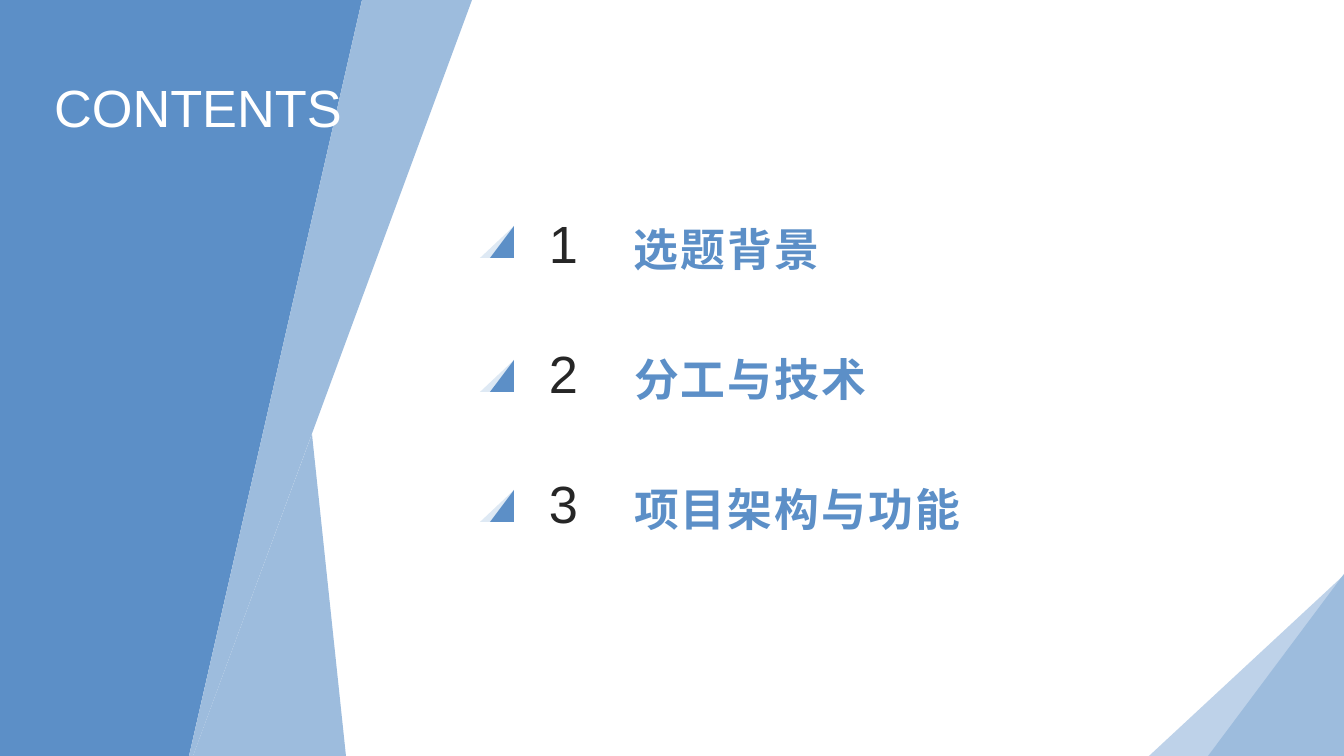
from pptx import Presentation
from pptx import util as u
from pptx.dml.color import RGBColor
from pptx.enum import shapes, text

PX = 914400 / 100.8
FONT = "Arial"
BLUE, MID, LIGHT, PALE = "5C8FC7", "9DBCDD", "BED2E9", "DEE9F4"
WHITE, DARK = "FFFFFF", "262626"

TITLE = "CONTENTS"
PANELS = [
    (LIGHT, [(1344, 575), (1306, 756), (1149, 756)]),
    (BLUE, [(0, 0), (362, 0), (189, 756), (0, 756)]),
    (MID, [(472, 0), (193, 756), (189, 756), (362, 0)]),
    (MID, [(312, 434), (346, 756), (193, 756)]),
]
CORNER = (1208, 574, 136, 182)
# label, label width, top of the marker
ENTRIES = [
    ("选题背景", 442, 226),
    ("分工与技术", 485, 360),
    ("项目架构与功能", 663, 490),
]
FIRST_TOP, PITCH = 201, 130
NUMBER_LEFT, LABEL_LEFT = 539, 624
MARKER_LEFT, MARKER_HEIGHT = 480, 32


def px(length):
    return u.Emu(round(length * PX))


def rgb(color):
    return RGBColor.from_string(color)


def paint(shape, color):
    shape.shadow.inherit = False
    shape.fill.solid()
    shape.fill.fore_color.rgb = rgb(color)
    shape.line.fill.background()


def add_polygon(slide, color, points):
    builder = slide.shapes.build_freeform(*points[0], scale=PX)
    builder.add_line_segments(points[1:], close=True)
    paint(builder.convert_to_shape(), color)


def add_right_triangle(slide, color, box):
    """Triangle with its apex above the right end of the base."""
    triangle = slide.shapes.add_shape(
        shapes.MSO_SHAPE.ISOSCELES_TRIANGLE, *map(px, box))
    triangle.adjustments[0] = 1
    paint(triangle, color)


def add_marker(slide, top):
    bottom = top + MARKER_HEIGHT
    add_polygon(slide, PALE, [(514, top), (508, bottom), (MARKER_LEFT, bottom)])
    add_right_triangle(slide, BLUE, (490, top, 24, MARKER_HEIGHT))


def set_text(shape, words, size, color, bold=False, anchor=text.MSO_ANCHOR.TOP):
    frame = shape.text_frame
    frame.text = words
    frame.word_wrap = True
    frame.auto_size = text.MSO_AUTO_SIZE.NONE
    frame.vertical_anchor = anchor
    frame.margin_left = frame.margin_right = px(10)
    frame.margin_top = frame.margin_bottom = px(10)
    paragraph = frame.paragraphs[0]
    paragraph.alignment = text.PP_ALIGN.LEFT
    font = paragraph.font
    font.name, font.size, font.bold = FONT, u.Pt(size), bold
    font.color.rgb = rgb(color)
    return paragraph


def add_entry(slide, index, label, width, marker_top):
    top = FIRST_TOP + index * PITCH
    number_box = slide.shapes.add_textbox(*map(px, (NUMBER_LEFT, top, 58, 92)))
    set_text(number_box, str(index + 1), 37.4, DARK)
    add_marker(slide, marker_top)
    label_box = slide.shapes.add_textbox(*map(px, (LABEL_LEFT, top, width, 95)))
    paragraph = set_text(label_box, label, 32, BLUE, True, text.MSO_ANCHOR.MIDDLE)
    paragraph.runs[0]._r.get_or_add_rPr().set("spc", "150")


def main():
    presentation = Presentation()
    presentation.slide_width, presentation.slide_height = px(1344), px(756)
    slide = presentation.slides.add_slide(presentation.slide_layouts[5])

    for index, (color, points) in enumerate(PANELS):
        add_polygon(slide, color, points)
        if index == 0:
            add_right_triangle(slide, MID, CORNER)

    title = slide.shapes.title
    title.left, title.top, title.width, title.height = map(px, (44, 65, 420, 78))
    set_text(title, TITLE, 37.4, WHITE)
    slide.shapes._spTree.append(title._element)  # bring in front of the panels

    for index, entry in enumerate(ENTRIES):
        add_entry(slide, index, *entry)

    presentation.save("out.pptx")


if __name__ == "__main__":
    main()
